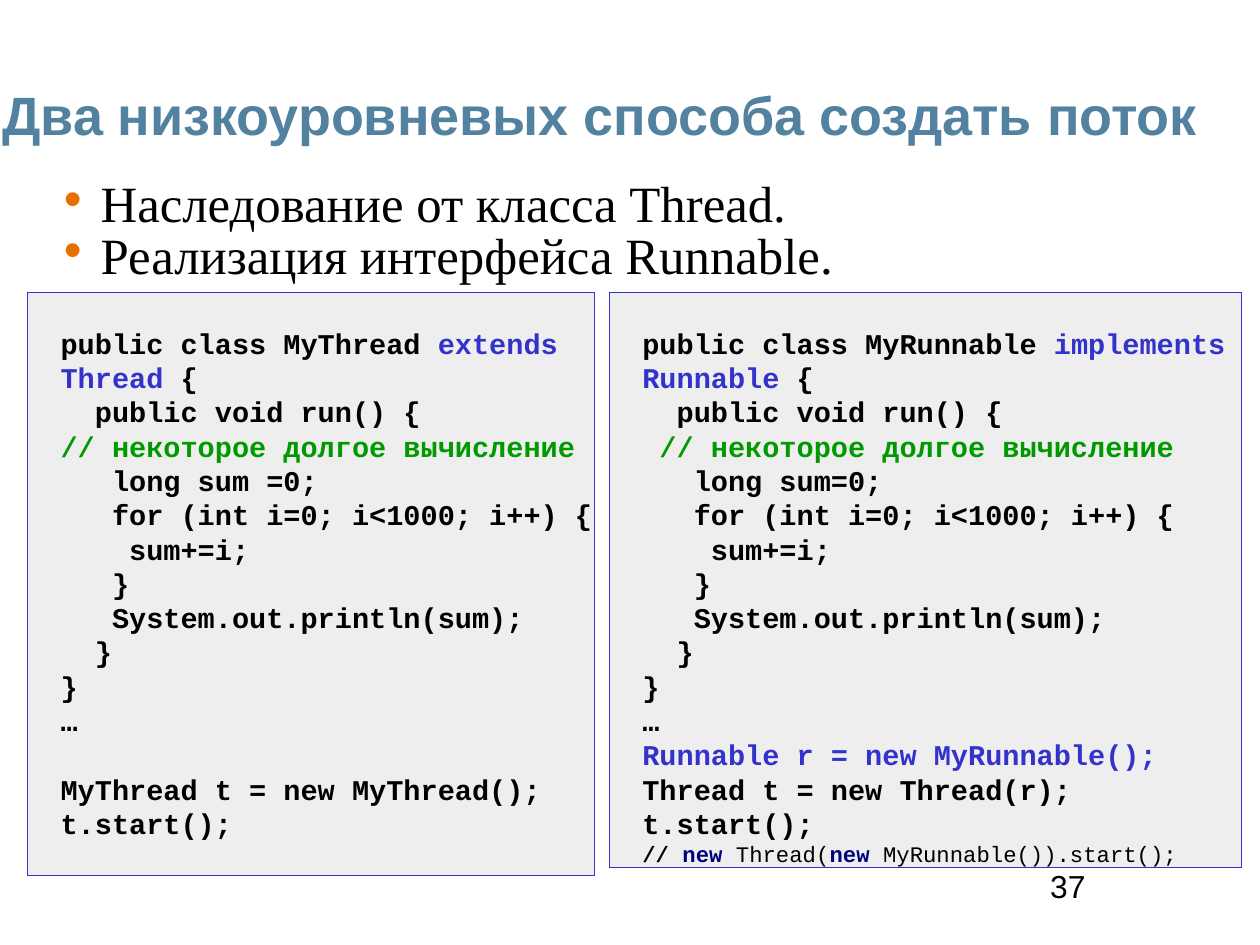
import pptx
import pptx.util
import pptx.dml.color
import pptx.enum.shapes
import pptx.enum.text
import pptx.oxml.ns
from lxml import etree

Inches = pptx.util.Inches
Pt = pptx.util.Pt
BLACK, BLUE, GREEN, NAVY = "000000", "3333CC", "009900", "000080"
CM_PER_INCH = 2.54


def rgb(value):
    return pptx.dml.color.RGBColor.from_string(value)


def sub(parent, tag, **attrs):
    return etree.SubElement(parent, pptx.oxml.ns.qn(tag), attrs)


class Deck:
    def __init__(self, width, height):
        self.prs = pptx.Presentation()
        self.prs.slide_width = Inches(width)
        self.prs.slide_height = Inches(height)
        self.s = self.prs.slides.add_slide(self.prs.slide_layouts[1])

    def font(self, target, name, size, color, bold=False):
        target.font.name = name
        target.font.size = Pt(size)
        target.font.bold = bold
        target.font.color.rgb = rgb(color)

    def frame(self, sp, box, anchor, inset=0, top=0):
        sp.left, sp.top, sp.width, sp.height = map(Inches, box)
        tf = sp.text_frame
        tf.margin_left = tf.margin_right = tf.margin_bottom = Inches(inset)
        tf.margin_top = Inches(top)
        tf.vertical_anchor = anchor
        tf.auto_size = pptx.enum.text.MSO_AUTO_SIZE.NONE
        tf.word_wrap = True
        return tf

    def title(self, text, box):
        tf = self.frame(self.s.shapes.title, box, pptx.enum.text.MSO_ANCHOR.MIDDLE)
        p = tf.paragraphs[0]
        p.text = text
        p.alignment = pptx.enum.text.PP_ALIGN.LEFT
        self.font(p, "Arial", 34, "5382A1", True)

    def bullets(self, items, box):
        tf = self.frame(self.s.placeholders[1], box, pptx.enum.text.MSO_ANCHOR.TOP)
        tf.text = "\n".join(items)
        for i, p in enumerate(tf.paragraphs):
            p.line_spacing = 0.51
            p.space_before = Pt(13 if i else 0)
            pPr = p._p.get_or_add_pPr()
            pPr.set("marL", str(Inches(0.43)))
            pPr.set("indent", str(Inches(-0.32)))
            sub(sub(pPr, "a:buClr"), "a:srgbClr", val="E76F00")
            sub(pPr, "a:buChar", char="•")
            self.font(p, "Times New Roman", 32, BLACK)

    def code(self, lines, box, gap_before=None):
        sp = self.s.shapes.add_shape(pptx.enum.shapes.MSO_SHAPE.RECTANGLE, *map(Inches, box))
        sp.shadow.inherit = False
        sp.fill.solid()
        sp.fill.fore_color.rgb = rgb("DEDEDE")
        color = sp.fill._xPr.find(".//" + pptx.oxml.ns.qn("a:srgbClr"))
        sub(color, "a:alpha", val="50000")
        sp.line.color.rgb = rgb(BLUE)
        sp.line.width = Pt(0.75)
        tf = self.frame(sp, box, pptx.enum.text.MSO_ANCHOR.TOP, top=0.29)
        for i, line in enumerate(lines):
            p = tf.paragraphs[0] if i == 0 else tf.add_paragraph()
            p.alignment = pptx.enum.text.PP_ALIGN.LEFT
            p._p.get_or_add_pPr().set("marL", str(Inches(0.29)))
            if i == gap_before:
                p.space_before = Pt(21.6)
            for text, color, *style in line:
                size, bold = style or (18, True)
                r = p.add_run()
                r.text = text
                self.font(r, "Courier New", size, color, bold)

    def number(self, text, box):
        sp = self.s.shapes.add_textbox(*map(Inches, box))
        tf = self.frame(sp, box, pptx.enum.text.MSO_ANCHOR.TOP, 0.1, 0.05)
        p = tf.paragraphs[0]
        p.text = text
        p.line_spacing = 0.87
        self.font(p, "Arial", 20, BLACK)


def black(*lines):
    return [[(line, BLACK)] for line in lines]


def class_code(name, parent, comment_indent, assignment):
    head = [[(f"public class {name} ", BLACK), (parent, BLUE), (" {", BLACK)]]
    comment = [[(comment_indent + "// некоторое долгое вычисление", GREEN)]]
    return head + black("  public void run() {") + comment + black(
        f"   long {assignment};",
        "   for (int i=0; i<1000; i++) {",
        "    sum+=i;",
        "   }",
        "   System.out.println(sum);",
        "  }",
        "}",
        "…",
    )


def main():
    deck = Deck(28 / CM_PER_INCH, 21 / CM_PER_INCH)
    deck.number("37", (9.09, 7.58, 1.47, 0.39))
    deck.title("Два низкоуровневых способа создать поток", (0.02, 0.62, 10.63, 0.76))
    deck.bullets(
        ["Наследование от класса Thread.", "Реализация интерфейса Runnable."],
        (0.45, 1.73, 7.58, 0.83),
    )
    thread = class_code("MyThread", "extends Thread", "", "sum =0")
    start = black("MyThread t = new MyThread();", "t.start();")
    deck.code(thread + start, (0.24, 2.56, 4.96, 5.1), len(thread))

    runnable = class_code("MyRunnable", "implements Runnable", " ", "sum=0")
    runnable.append([("Runnable r = new MyRunnable();", BLUE)])
    runnable += black("Thread t = new Thread(r);", "t.start();")
    runnable.append([
        ("// ", BLACK, 14, True),
        ("new ", NAVY, 14, True),
        ("Thread(", BLACK, 14, False),
        ("new ", NAVY, 14, True),
        ("MyRunnable()).start();", BLACK, 14, False),
    ])
    deck.code(runnable, (5.33, 2.56, 5.53, 5.03))
    deck.prs.save("out.pptx")


if __name__ == "__main__":
    main()
